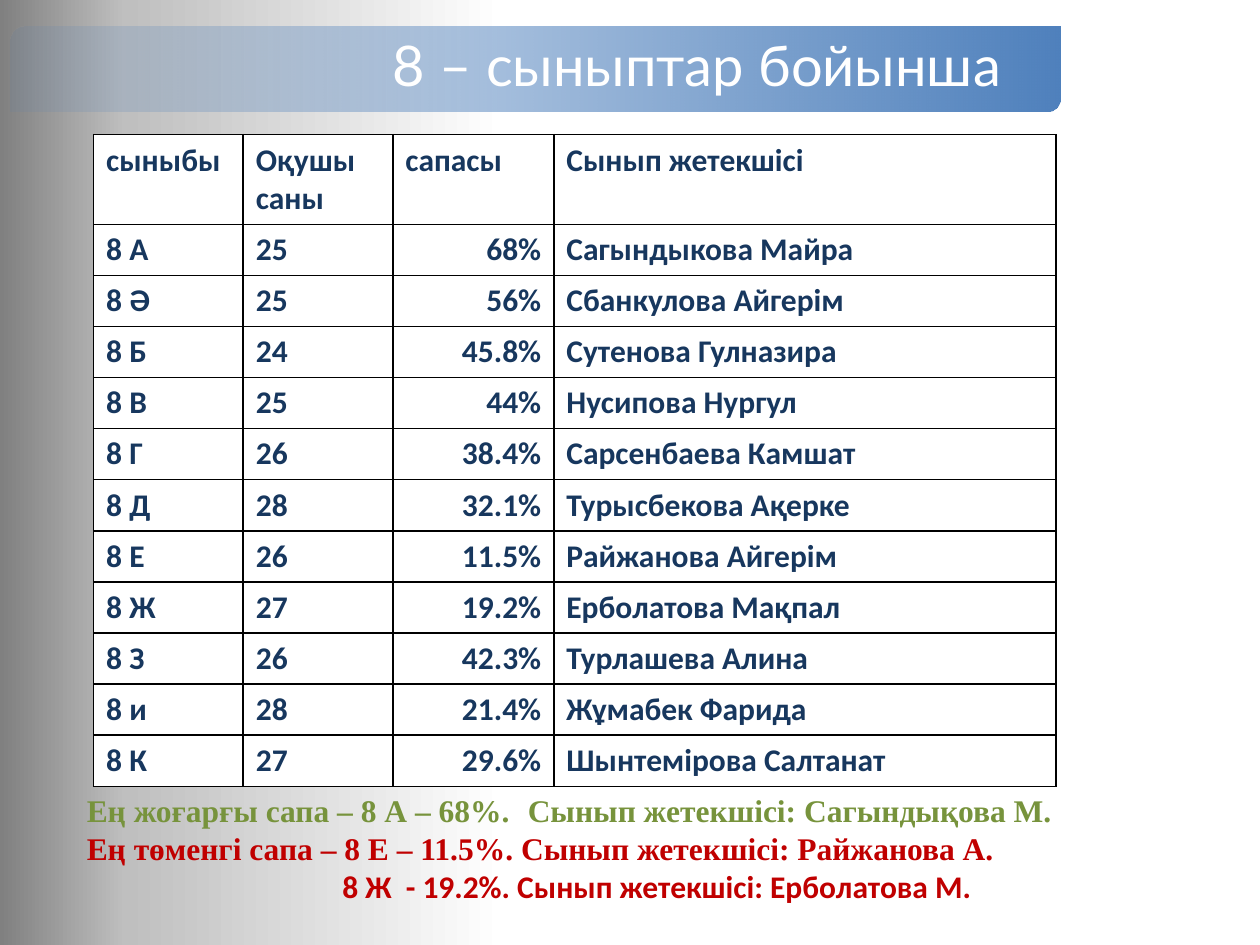
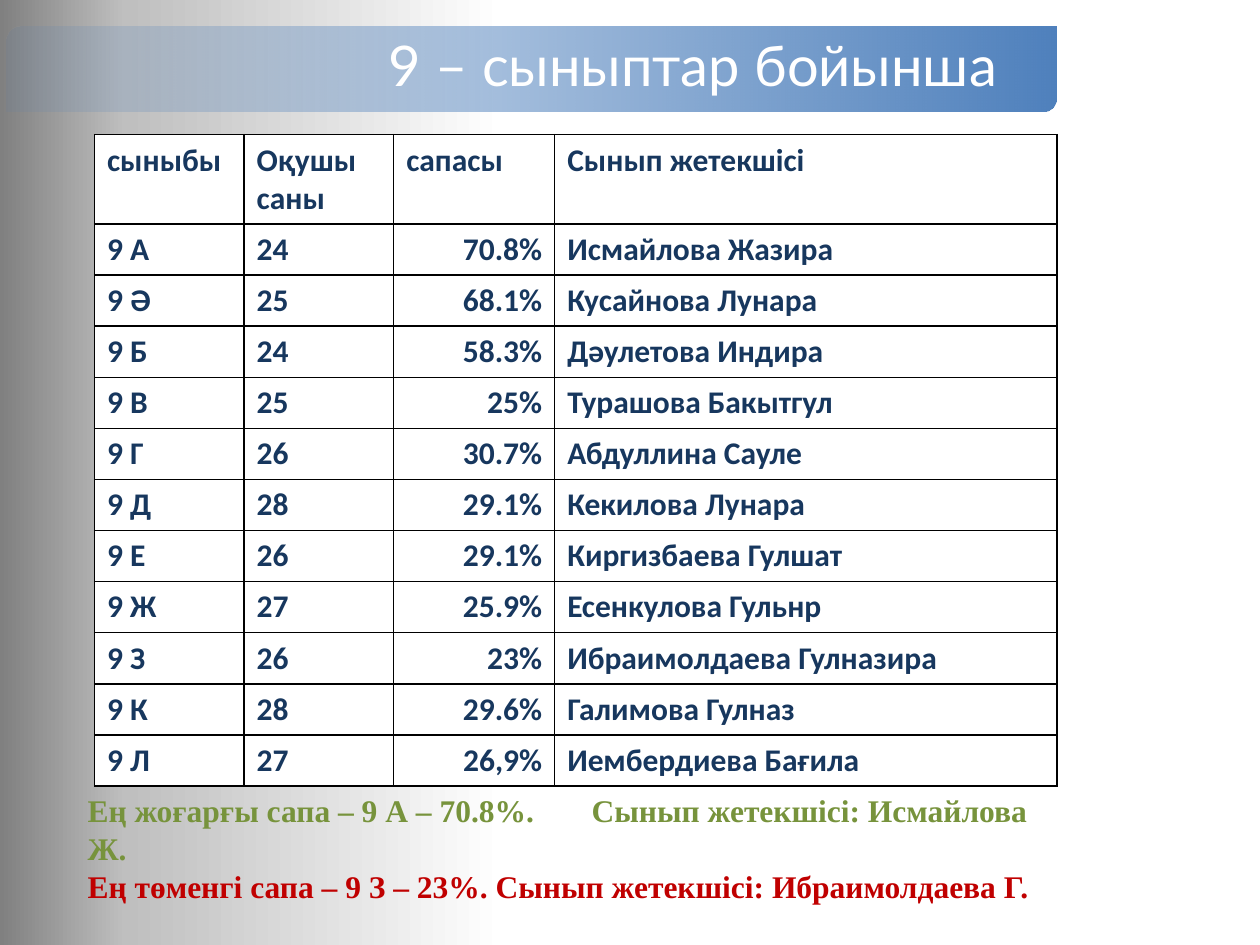
from lxml.etree import SubElement
from pptx import Presentation
from pptx.dml.color import RGBColor
from pptx.enum.shapes import MSO_SHAPE as Shape
from pptx.enum.text import MSO_ANCHOR as Anchor, PP_ALIGN as Align
from pptx.oxml.ns import qn
from pptx.util import Pt

WHITE = RGBColor(0xFF, 0xFF, 0xFF)
SILVER = RGBColor(0xBF, 0xBF, 0xBF)
GRAY = RGBColor(0x80, 0x80, 0x80)
BLACK = RGBColor(0x00, 0x00, 0x00)
BLUE = RGBColor(0x4F, 0x81, 0xBD)
NAVY = RGBColor(0x17, 0x37, 0x5E)
GREEN = RGBColor(0x77, 0x93, 0x3C)
RED = RGBColor(0xC0, 0x00, 0x00)

BODY_FONT, NOTE_FONT, TITLE_FONT = "Calibri", "Times New Roman", "Lato"
COLUMN_WIDTHS = [85.5, 85.5, 92, 287]
HEADER_HEIGHT, ROW_HEIGHT = 51, 29.2
HEADER = ("сыныбы", "Оқушы саны", "сапасы", "Сынып жетекшісі")
QUALITY_COLUMN = 2

# Notes: text, font, colour, left indent, tab stop
GRADES = [
    {
        "title": "8 – сыныптар бойынша",
        "band_left": 5.9, "table_left": 53.5, "notes_left": 42.5,
        "classes": [
            ("8 А", "25", "68%", "Сагындыкова Майра"),
            ("8 Ә", "25", "56%", "Сбанкулова Айгерім"),
            ("8 Б", "24", "45.8%", "Сутенова Гулназира"),
            ("8 В", "25", "44%", "Нусипова Нургул"),
            ("8 Г", "26", "38.4%", "Сарсенбаева Камшат"),
            ("8 Д", "28", "32.1%", "Турысбекова Ақерке"),
            ("8 Е", "26", "11.5%", "Райжанова Айгерім"),
            ("8 Ж", "27", "19.2%", "Ерболатова Мақпал"),
            ("8 З", "26", "42.3%", "Турлашева Алина"),
            ("8 и", "28", "21.4%", "Жұмабек Фарида"),
            ("8 К", "27", "29.6%", "Шынтемірова Салтанат"),
        ],
        "notes": [
            ("Ең жоғарғы сапа – 8 А – 68%.\tСынып жетекшісі: Сагындықова М.",
             NOTE_FONT, GREEN, 0, 255),
            ("Ең төменгі сапа – 8 Е – 11.5%. Сынып жетекшісі: Райжанова А.",
             NOTE_FONT, RED, 0, None),
            ("8 Ж  - 19.2%. Сынып жетекшісі: Ерболатова М.",
             BODY_FONT, RED, 146, None),
        ],
    },
    {
        "title": "9 – сыныптар бойынша",
        "band_left": 3.6, "table_left": 54, "notes_left": 43,
        "classes": [
            ("9 А", "24", "70.8%", "Исмайлова Жазира"),
            ("9 Ә", "25", "68.1%", "Кусайнова Лунара"),
            ("9 Б", "24", "58.3%", "Дәулетова Индира"),
            ("9 В", "25", "25%", "Турашова Бакытгул"),
            ("9 Г", "26", "30.7%", "Абдуллина Сауле"),
            ("9 Д", "28", "29.1%", "Кекилова Лунара"),
            ("9 Е", "26", "29.1%", "Киргизбаева Гулшат"),
            ("9 Ж", "27", "25.9%", "Есенкулова Гульнр"),
            ("9 З", "26", "23%", "Ибраимолдаева Гулназира"),
            ("9 К", "28", "29.6%", "Галимова Гулназ"),
            ("9 Л", "27", "26,9%", "Иембердиева Бағила"),
        ],
        "notes": [
            ("Ең жоғарғы сапа – 9 А – 70.8%.\tСынып жетекшісі: Исмайлова Ж.",
             NOTE_FONT, GREEN, 0, 268.5),
            ("Ең төменгі сапа – 9 З – 23%. Сынып жетекшісі: Ибраимолдаева Г.",
             NOTE_FONT, RED, 0, None),
        ],
    },
]


def paint_gradient(fill, element, angle, stops):
    """Fill with stops of (position %, colour, opacity %); element holds the fill."""
    fill.gradient()
    fill.gradient_angle = angle
    stop_list = element.find(".//" + qn("a:gsLst"))
    for old_stop in list(stop_list):
        stop_list.remove(old_stop)
    for position, color, opacity in stops:
        stop = SubElement(stop_list, qn("a:gs"), pos=str(position * 1000))
        paint = SubElement(stop, qn("a:srgbClr"), val=str(color))
        if opacity < 100:
            SubElement(paint, qn("a:alpha"), val=str(opacity * 1000))


def add_span(para, text, font, size, color, bold=True):
    span = para.add_run()
    span.text = text
    span.font.name = font
    span.font.size = Pt(size)
    span.font.bold = bold
    span.font.color.rgb = color


deck = Presentation()
deck.slide_width, deck.slide_height = Pt(720), Pt(540)

for grade in GRADES:
    page = deck.slides.add_slide(deck.slide_layouts[6])
    paint_gradient(page.background.fill, page.element, 180,
                   [(60, WHITE, 100), (90, SILVER, 100), (100, GRAY, 100)])

    # Title band
    band = page.shapes.add_shape(Shape.ROUND_2_DIAG_RECTANGLE, Pt(grade["band_left"]),
                                 Pt(15), Pt(600), Pt(48.5))
    band.shadow.inherit = False
    band.line.fill.background()
    paint_gradient(band.fill, band.element, 0, [(0, BLUE, 10), (100, BLUE, 100)])
    frame = band.text_frame
    frame.word_wrap = True
    frame.vertical_anchor = Anchor.MIDDLE
    frame.margin_left = Pt(216)
    frame.margin_top = frame.margin_right = frame.margin_bottom = Pt(12)
    para = frame.paragraphs[0]
    para.alignment = Align.LEFT
    para.line_spacing = 0.9
    add_span(para, grade["title"], TITLE_FONT, 32, WHITE, bold=False)

    # Class table
    rows = [HEADER] + grade["classes"]
    table = page.shapes.add_table(
        len(rows), len(HEADER), Pt(grade["table_left"]), Pt(77), Pt(sum(COLUMN_WIDTHS)),
        Pt(HEADER_HEIGHT + ROW_HEIGHT * len(grade["classes"]))).table
    table.first_row = table.horz_banding = False
    for column, width in zip(table.columns, COLUMN_WIDTHS):
        column.width = Pt(width)
    for row_index, row in enumerate(rows):
        table.rows[row_index].height = Pt(ROW_HEIGHT if row_index else HEADER_HEIGHT)
        for column_index, text in enumerate(row):
            cell = table.cell(row_index, column_index)
            properties = cell._tc.get_or_add_tcPr()
            for side in ("lnL", "lnR", "lnT", "lnB"):
                border = SubElement(properties, qn("a:" + side), w=str(Pt(1)))
                SubElement(SubElement(border, qn("a:solidFill")),
                           qn("a:srgbClr"), val=str(BLACK))
            cell.fill.solid()
            cell.fill.fore_color.rgb = WHITE
            para = cell.text_frame.paragraphs[0]
            if row_index and column_index == QUALITY_COLUMN:
                para.alignment = Align.RIGHT
            add_span(para, text, BODY_FONT, 18, NAVY)

    # Best and weakest classes
    box = page.shapes.add_textbox(Pt(grade["notes_left"]), Pt(448.5), Pt(575), Pt(72.5))
    frame = box.text_frame
    frame.word_wrap = True
    for note_index, (text, font, color, indent, tab_stop) in enumerate(grade["notes"]):
        para = frame.add_paragraph() if note_index else frame.paragraphs[0]
        properties = para._p.get_or_add_pPr()
        properties.set("marL", str(Pt(indent)))
        properties.set("indent", "0")
        if tab_stop:
            SubElement(SubElement(properties, qn("a:tabLst")), qn("a:tab"),
                       pos=str(Pt(tab_stop)), algn="l")
        add_span(para, text, font, 18, color)

deck.save("out.pptx")
